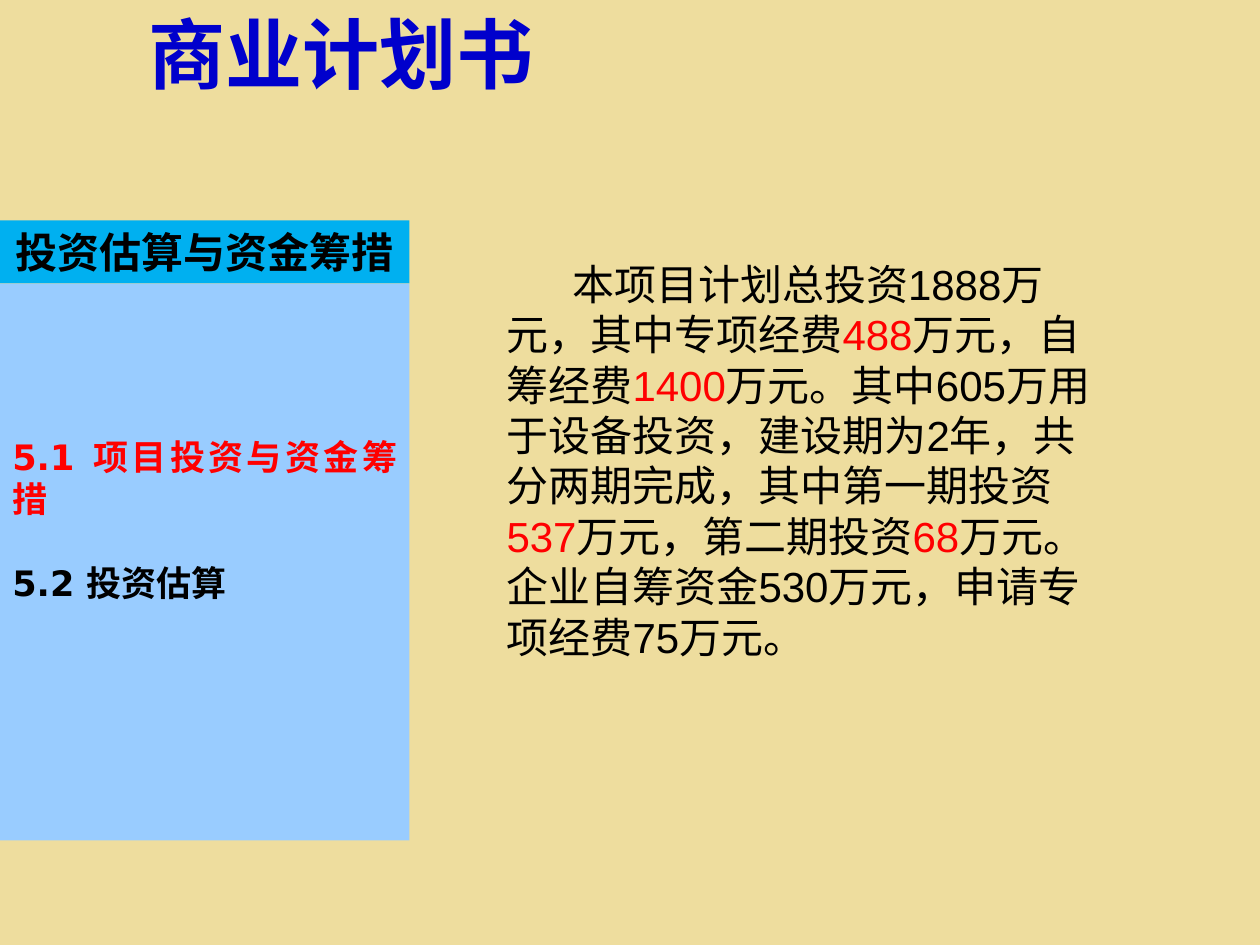
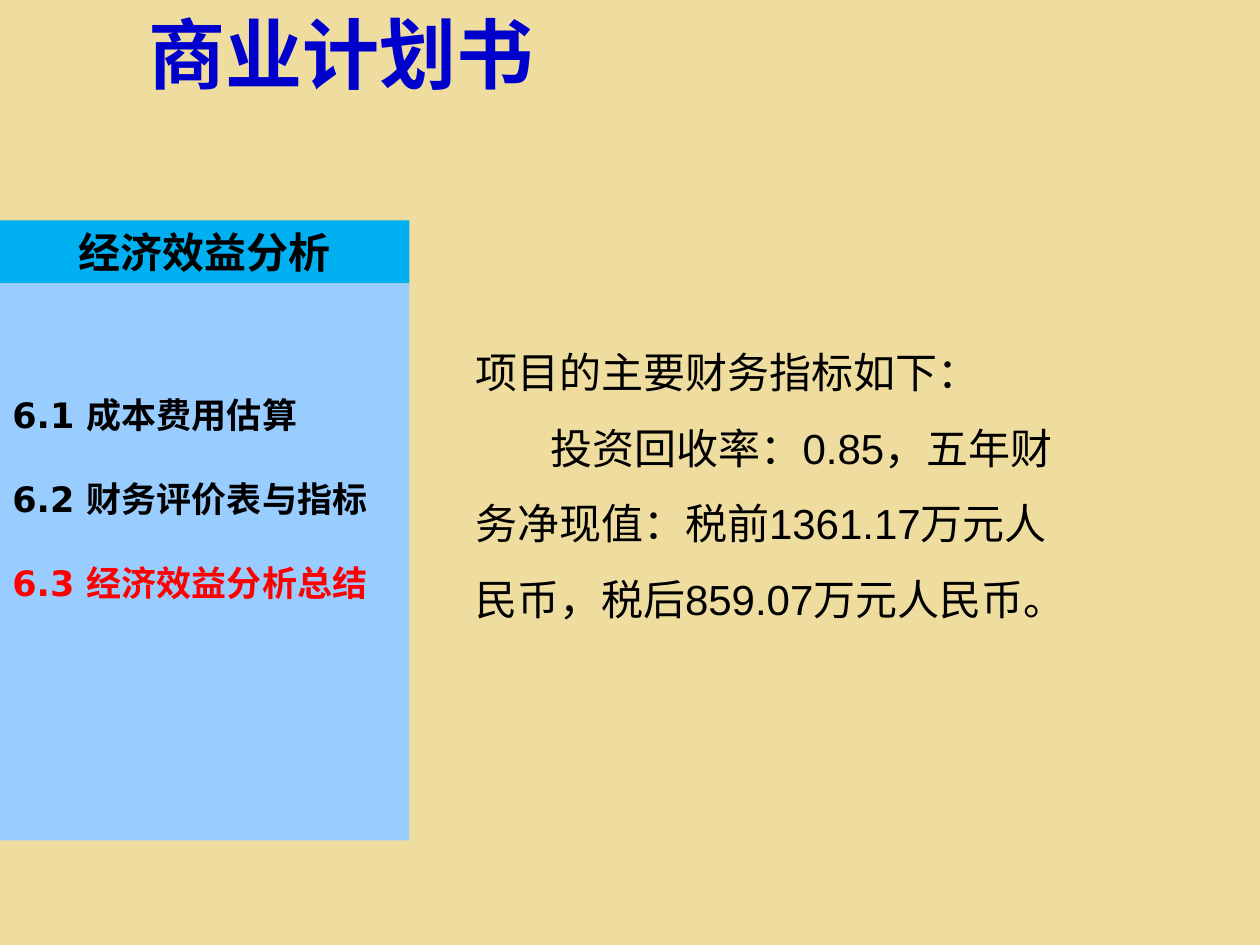
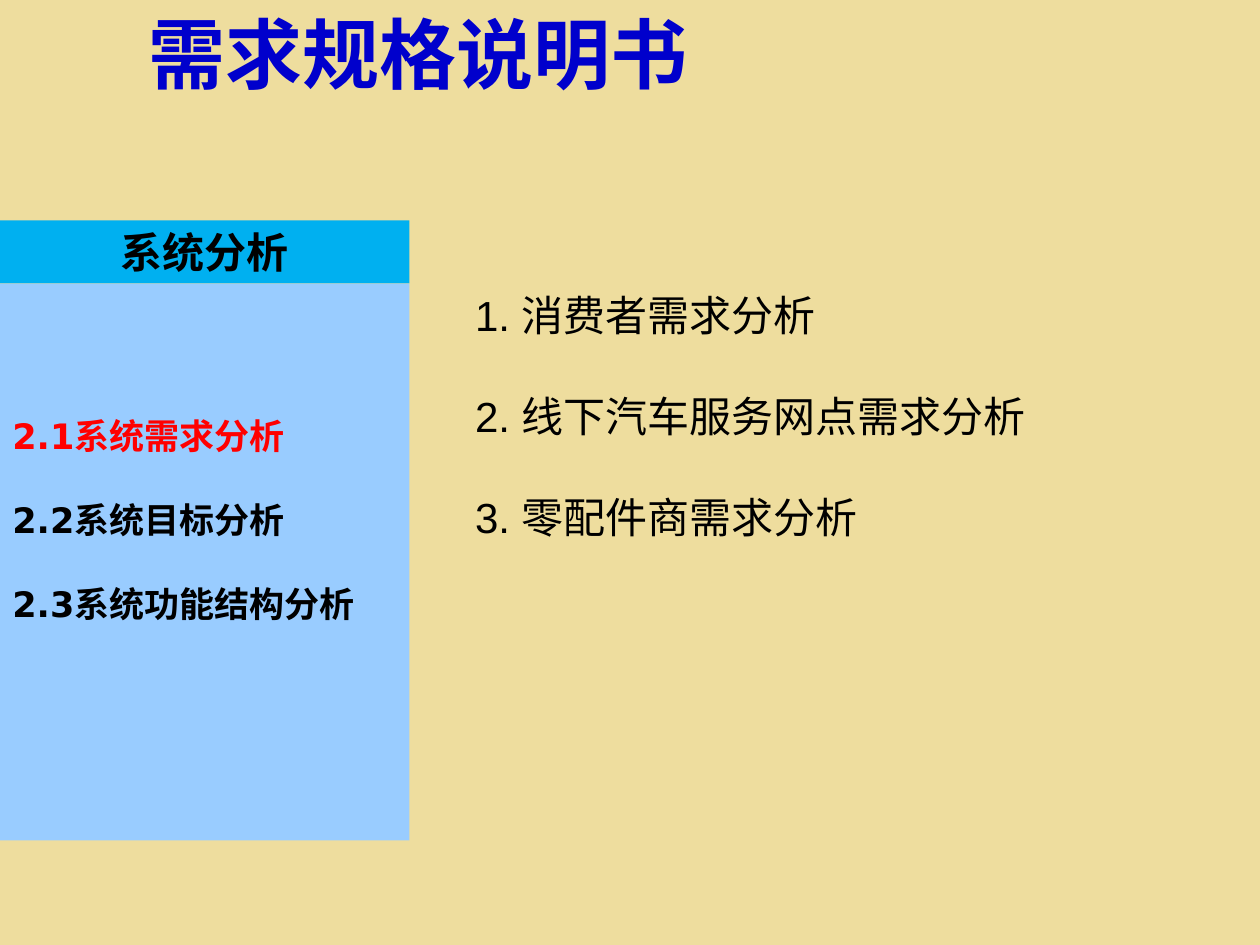
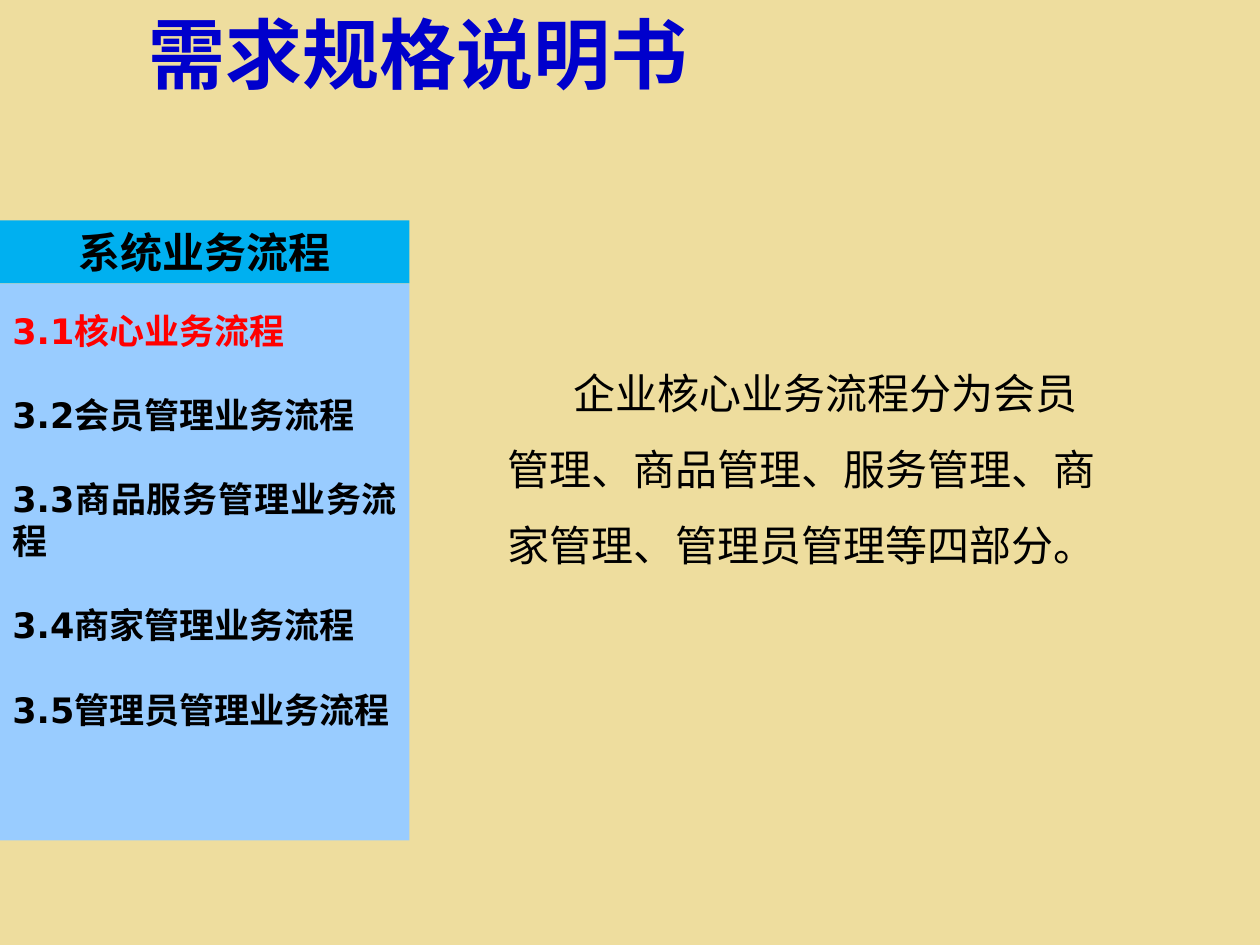
import dataclasses

import pptx
import pptx.dml.color
import pptx.enum.shapes
import pptx.enum.text
import pptx.util
from pptx.util import Inches

ALIGN = pptx.enum.text.PP_ALIGN
ANCHOR = pptx.enum.text.MSO_ANCHOR
AUTO_SIZE = pptx.enum.text.MSO_AUTO_SIZE


@dataclasses.dataclass(frozen=True)
class Theme:
    background: str = "EEDD9E"
    title: str = "0000CC"
    heading_band: str = "00B0F0"
    panel: str = "99CCFF"
    text: str = "000000"
    highlight: str = "FF0000"
    heading_font: str = "Noto Sans CJK SC"
    panel_font: str = "DejaVu Sans"
    body_font: str = "Arial"
    serif_font: str = "Times New Roman"
    title_size: int = 44
    heading_size: int = 24
    panel_size: int = 20
    body_size: int = 24
    line_factor: float = 1.2


THEME = Theme()


def add_run(paragraph, text, font, size, color, bold=False):
    run = paragraph.add_run()
    run.text = text
    run.font.name = font
    run.font.size = pptx.util.Pt(size)
    run.font.bold = bold
    run.font.color.rgb = pptx.dml.color.RGBColor.from_string(color)


def add_block(slide, top, height, color):
    """Add a flat sidebar rectangle and return its text frame."""
    shape = slide.shapes.add_shape(
        pptx.enum.shapes.MSO_SHAPE.RECTANGLE, 0, Inches(top), Inches(3.25), Inches(height))
    shape.shadow.inherit = False
    shape.fill.solid()
    shape.fill.fore_color.rgb = pptx.dml.color.RGBColor.from_string(color)
    shape.line.fill.background()
    shape.text_frame.word_wrap = True
    shape.text_frame.vertical_anchor = ANCHOR.MIDDLE
    return shape.text_frame


# Content: body paragraphs are lists of (text, highlighted) runs
PLAN = "商业计划书"
REQUIREMENTS = "需求规格说明书"
SLIDES = [
    dict(
        title=PLAN, heading="投资估算与资金筹措",
        sections=["5.1 项目投资与资金筹措", "5.2 投资估算"], current=0, lines_below=2,
        box=(3.92, 2, 5, 3.33), font=THEME.body_font, spacing=1, gap_lines=0, indents=[0.52],
        body=[[
            ("本项目计划总投资1888万元，其中专项经费", False), ("488", True),
            ("万元，自筹经费", False), ("1400", True),
            ("万元。其中605万用于设备投资，建设期为2年，共分两期完成，其中第一期投资", False),
            ("537", True), ("万元，第二期投资", False), ("68", True),
            ("万元。企业自筹资金530万元，申请专项经费75万元。", False),
        ]],
    ),
    dict(
        title=PLAN, heading="经济效益分析",
        sections=["6.1 成本费用估算", "6.2 财务评价表与指标", "6.3 经济效益分析总结"],
        current=2, lines_below=3,
        box=(3.67, 2.5, 5, 2.45), font=THEME.body_font, spacing=1.5, gap_lines=0,
        indents=[0, 0.6],
        body=[
            [("项目的主要财务指标如下：", False)],
            [("投资回收率：0.85，五年财务净现值：税前1361.17万元人民币，"
              "税后859.07万元人民币。", False)],
        ],
    ),
    dict(
        title=REQUIREMENTS, heading="系统分析",
        sections=["2.1系统需求分析", "2.2系统目标分析", "2.3系统功能结构分析"],
        current=0, lines_below=2,
        box=(3.67, 2.25, 5, 2.12), font=THEME.body_font, spacing=1, gap_lines=1,
        indents=[0, 0, 0],
        body=[
            [("1. 消费者需求分析", False)],
            [("2. 线下汽车服务网点需求分析", False)],
            [("3. 零配件商需求分析", False)],
        ],
    ),
    dict(
        title=REQUIREMENTS, heading="系统业务流程",
        sections=["3.1核心业务流程", "3.2会员管理业务流程", "3.3商品服务管理业务流程",
                  "3.4商家管理业务流程", "3.5管理员管理业务流程"],
        current=0, lines_below=2,
        box=(3.93, 2.67, 5, 1.92), font=THEME.serif_font, spacing=1.5, gap_lines=0,
        indents=[0.52],
        body=[[("企业核心业务流程分为会员管理、商品管理、服务管理、商家管理、"
                "管理员管理等四部分。", False)]],
    ),
]

presentation = pptx.Presentation()
presentation.slide_width = Inches(10)
presentation.slide_height = Inches(7.5)

# Shared background and title position
background = presentation.slide_master.background.fill
background.solid()
background.fore_color.rgb = pptx.dml.color.RGBColor.from_string(THEME.background)
layout = presentation.slide_layouts[1]
layout_title = layout.placeholders[0]
layout_title.left, layout_title.top = Inches(1.08), Inches(0)
layout_title.width, layout_title.height = Inches(7.83), Inches(0.84)

panel_line = pptx.util.Pt(THEME.panel_size * THEME.line_factor)
body_line = pptx.util.Pt(THEME.body_size * THEME.line_factor)

for content in SLIDES:
    slide = presentation.slides.add_slide(layout)

    # Title
    title_frame = slide.shapes.title.text_frame
    title_frame.vertical_anchor = ANCHOR.MIDDLE
    title_frame.auto_size = AUTO_SIZE.NONE
    title_frame.paragraphs[0].alignment = ALIGN.LEFT
    add_run(title_frame.paragraphs[0], content["title"], THEME.heading_font,
            THEME.title_size, THEME.title, bold=True)

    # Sidebar heading
    heading = add_block(slide, 1.75, 0.5, THEME.heading_band).paragraphs[0]
    heading.alignment = ALIGN.CENTER
    add_run(heading, content["heading"], THEME.heading_font, THEME.heading_size,
            THEME.text, bold=True)

    # Sidebar sections, current one highlighted
    panel = add_block(slide, 2.25, 4.42, THEME.panel)
    panel.margin_bottom = Inches(0.05) + content["lines_below"] * panel_line
    for index, section in enumerate(content["sections"]):
        paragraph = panel.add_paragraph() if index else panel.paragraphs[0]
        paragraph.alignment = ALIGN.JUSTIFY
        paragraph.space_before = panel_line if index else 0
        color = THEME.highlight if index == content["current"] else THEME.text
        add_run(paragraph, section, THEME.panel_font, THEME.panel_size, color, bold=True)

    # Body text
    body = slide.placeholders[1]
    body.left, body.top, body.width, body.height = map(Inches, content["box"])
    body_frame = body.text_frame
    body_frame.word_wrap = True
    body_frame.vertical_anchor = ANCHOR.TOP
    body_frame.auto_size = AUTO_SIZE.SHAPE_TO_FIT_TEXT
    for index, (runs, indent) in enumerate(zip(content["body"], content["indents"])):
        paragraph = body_frame.add_paragraph() if index else body_frame.paragraphs[0]
        paragraph.alignment = ALIGN.LEFT
        paragraph.line_spacing = float(content["spacing"])
        paragraph.space_before = content["gap_lines"] * body_line if index else 0
        # No bullet, first-line indent, punctuation kept inside the margin
        properties = paragraph._p.get_or_add_pPr()
        properties.set("marL", "0")
        properties.set("indent", str(Inches(indent)))
        properties.set("hangingPunct", "0")
        properties.append(pptx.oxml.parse_xml(
            '<a:buNone xmlns:a="http://schemas.openxmlformats.org/drawingml/2006/main"/>'))
        for text, highlighted in runs:
            add_run(paragraph, text, content["font"], THEME.body_size,
                    THEME.highlight if highlighted else THEME.text)

presentation.save("out.pptx")
